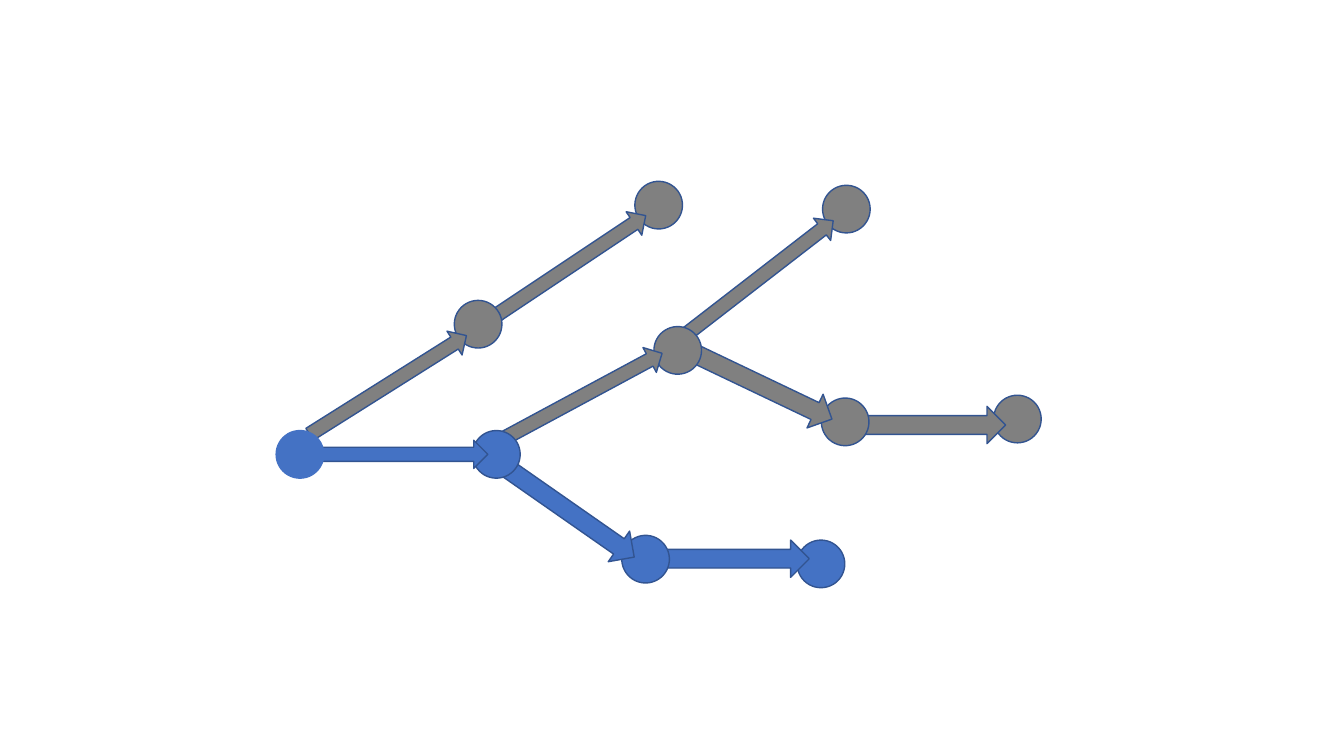
from dataclasses import dataclass

from pptx import Presentation
from pptx.dml.color import RGBColor
from pptx.enum.shapes import MSO_SHAPE
from pptx.slide import Slide
from pptx.util import Cm, Pt

CIRCLE = MSO_SHAPE.OVAL
ARROW = MSO_SHAPE.RIGHT_ARROW
BLANK_LAYOUT = 6


@dataclass(frozen=True)
class Theme:
    active: RGBColor = RGBColor(0x44, 0x72, 0xC4)
    inactive: RGBColor = RGBColor(0x80, 0x80, 0x80)
    outline: RGBColor = RGBColor(0x32, 0x54, 0x91)
    outline_pt: float = 1


THEME = Theme()


@dataclass(frozen=True)
class Kind:
    """Preset shape with its size in cm."""
    preset: MSO_SHAPE
    width: float
    height: float


NODE = Kind(CIRCLE, 1.2, 1.2)
SLIM_ARROW = Kind(ARROW, 4.67, 0.71)
BROAD_ARROW = Kind(ARROW, 3.91, 0.94)


@dataclass(frozen=True)
class Part:
    """Tree part placed by its centre in cm and its rotation in degrees."""
    kind: Kind
    x: float
    y: float
    rotation: float = 0
    fill: RGBColor = THEME.inactive
    outline: RGBColor = THEME.outline


# Back to front, so that arrow tips lie over the nodes they reach
TREE = [
    # Upper branch
    Part(NODE, 16.6, 5.17, 346.7),
    Part(SLIM_ARROW, 14.33, 6.73, 326.3),
    Part(NODE, 12.05, 8.17, 337.3),
    Part(SLIM_ARROW, 9.78, 9.7, 327.8),
    # Leaves of the lower and middle branches
    Part(NODE, 20.69, 14.21, fill=THEME.active),
    Part(NODE, 25.64, 10.56),
    Part(NODE, 21.33, 5.27),
    # Middle branch
    Part(BROAD_ARROW, 23.39, 10.71),
    Part(NODE, 21.3, 10.63, 333.8),
    Part(BROAD_ARROW, 19.2, 9.72, 25.5),
    Part(SLIM_ARROW, 19.15, 6.99, 322.3),
    Part(NODE, 17.08, 8.83, 350.6),
    # Active path, with the arrow that leads to the middle branch
    Part(BROAD_ARROW, 18.44, 14.08, fill=THEME.active),
    Part(NODE, 16.27, 14.09, 333.8, THEME.active),
    Part(BROAD_ARROW, 14.38, 12.92, 34.9, THEME.active),
    Part(SLIM_ARROW, 14.63, 10.01, 331.7),
    Part(NODE, 12.51, 11.45, fill=THEME.active),
    Part(SLIM_ARROW, 9.96, 11.45, fill=THEME.active),
    # Root
    Part(NODE, 7.56, 11.45, fill=THEME.active, outline=THEME.active),
]


def draw_part(slide: Slide, part: Part) -> None:
    kind = part.kind
    shape = slide.shapes.add_shape(
        kind.preset,
        Cm(part.x - kind.width / 2), Cm(part.y - kind.height / 2),
        Cm(kind.width), Cm(kind.height),
    )
    shape.rotation = part.rotation
    shape.shadow.inherit = False
    shape.fill.solid()
    shape.fill.fore_color.rgb = part.fill
    shape.line.color.rgb = part.outline
    shape.line.width = Pt(THEME.outline_pt)


def main() -> None:
    presentation = Presentation()
    presentation.slide_width = Cm(33.87)
    presentation.slide_height = Cm(19.05)
    slide = presentation.slides.add_slide(presentation.slide_layouts[BLANK_LAYOUT])
    for part in TREE:
        draw_part(slide, part)
    presentation.save("out.pptx")


if __name__ == "__main__":
    main()
